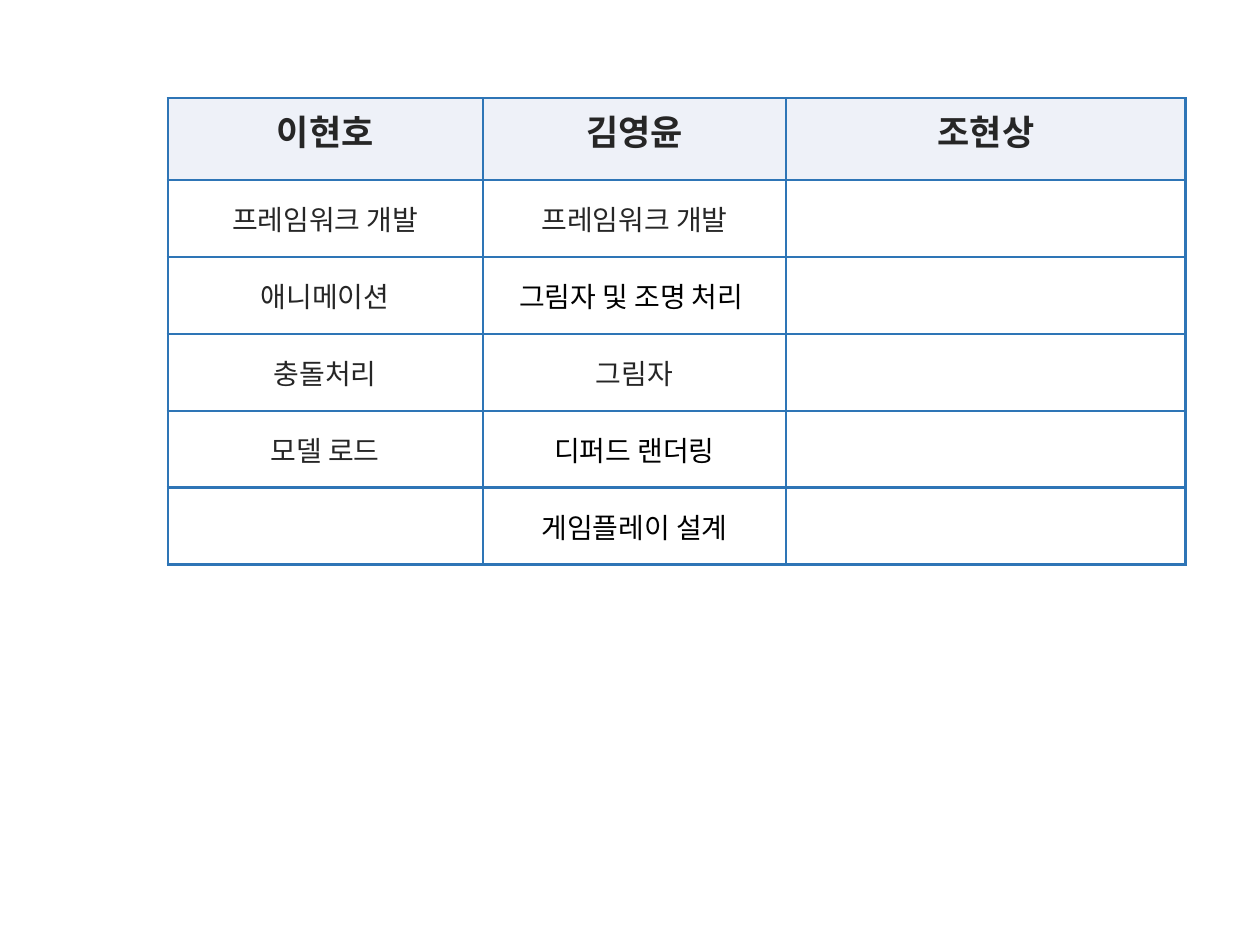
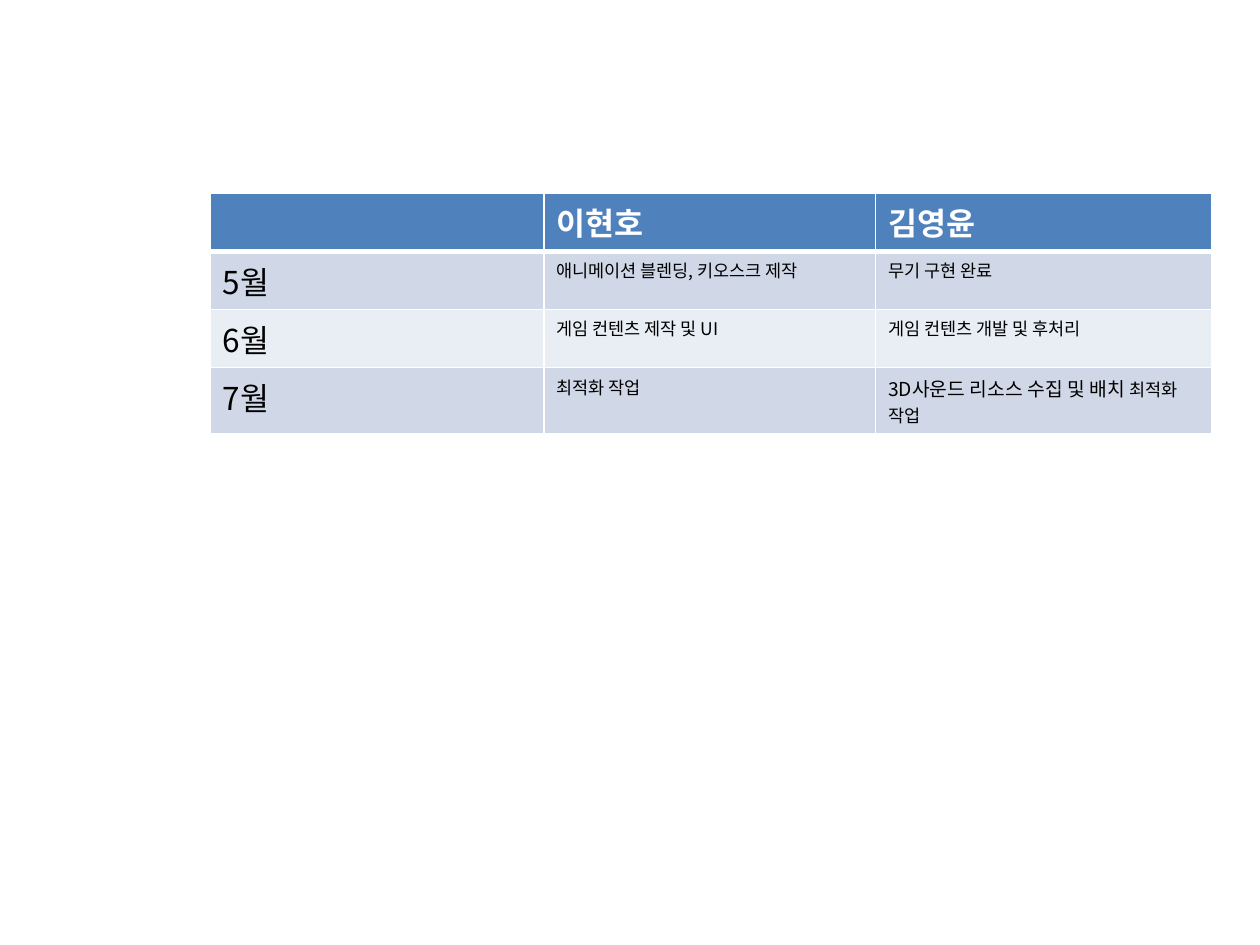
from lxml import etree
from pptx import Presentation
from pptx import util as u
from pptx.dml.color import RGBColor
from pptx.enum import text
from pptx.oxml import ns

FONT = "Noto Sans CJK KR"
WHITE = RGBColor(0xFF, 0xFF, 0xFF)
BLACK = RGBColor(0x00, 0x00, 0x00)
CHARCOAL = RGBColor(0x26, 0x26, 0x26)
GRID_BLUE = RGBColor(0x2E, 0x75, 0xB6)
PALE_HEAD = RGBColor(0xEE, 0xF1, 0xF8)
BLUE_HEAD = RGBColor(0x4F, 0x81, 0xBD)
BAND_DARK = RGBColor(0xD0, 0xD8, 0xE8)
BAND_LIGHT = RGBColor(0xE9, 0xED, 0xF4)
PLAIN_STYLE = "{2D5ABB26-0587-4C30-8999-92F81FD0307C}"

ROLES = [
    ["이현호", "김영윤", "조현상"],
    ["프레임워크 개발", "프레임워크 개발", ""],
    ["애니메이션", "그림자 및 조명 처리 ", ""],
    ["충돌처리", "그림자", ""],
    ["모델 로드", "디퍼드 랜더링", ""],
    ["", "게임플레이 설계", ""],
]
BLACK_ROLES = {"그림자 및 조명 처리 ", "디퍼드 랜더링", "게임플레이 설계"}

SCHEDULE = [
    ["", "이현호", "김영윤"],
    ["5월", "애니메이션 블렌딩, 키오스크 제작", "무기 구현 완료"],
    ["6월", "게임 컨텐츠 제작 및 UI", "게임 컨텐츠 개발 및 후처리"],
    ["7월", "최적화 작업", "3D사운드 리소스 수집 및 배치 "],
]


def add_table(page, left, top, widths, heights):
    """Add an unstyled table; all lengths are in centimetres."""
    frame = page.shapes.add_table(
        len(heights), len(widths), u.Cm(left), u.Cm(top),
        u.Cm(sum(widths)), u.Cm(sum(heights)))
    table = frame.table
    table.first_row = table.horz_banding = False
    table._tbl.tblPr.find(ns.qn("a:tableStyleId")).text = PLAIN_STYLE
    for column, width in zip(table.columns, widths):
        column.width = u.Cm(width)
    for row, height in zip(table.rows, heights):
        row.height = u.Cm(height)
    return table


def set_borders(cell, color, width, bottom=None):
    """Draw the four cell sides; the lines must precede the cell fill."""
    properties = cell._tc.get_or_add_tcPr()
    for index, side in enumerate(("lnL", "lnR", "lnT", "lnB")):
        points = bottom if bottom and side == "lnB" else width
        line = etree.Element(ns.qn(f"a:{side}"), w=str(u.Pt(points)))
        fill = etree.SubElement(line, ns.qn("a:solidFill"))
        etree.SubElement(fill, ns.qn("a:srgbClr"), val=str(color))
        properties.insert(index, line)


def fill_cell(cell, words, fill, size, color, bold=False, align=None):
    cell.fill.solid()
    cell.fill.fore_color.rgb = fill
    para = cell.text_frame.paragraphs[0]
    para.text = words
    para.alignment = align
    font = para.font
    font.name, font.size, font.bold = FONT, u.Pt(size), bold
    font.color.rgb = color
    # East Asian typeface follows the Latin one
    latin = para._p.pPr.find(ns.qn("a:defRPr")).find(ns.qn("a:latin"))
    latin.addnext(etree.Element(ns.qn("a:ea"), typeface=FONT))
    return para


def add_roles(page):
    table = add_table(page, 3.38, 1.98, [6.35, 6.12, 8.05],
                      [1.65] + [1.55] * (len(ROLES) - 1))
    for r, row in enumerate(ROLES):
        for c, words in enumerate(row):
            cell = table.cell(r, c)
            head = r == 0
            fill_cell(cell, words, PALE_HEAD if head else WHITE,
                      20 if head else 16,
                      BLACK if words in BLACK_ROLES else CHARCOAL,
                      head, text.PP_ALIGN.CENTER)
            if not head:
                cell.vertical_anchor = text.MSO_ANCHOR.MIDDLE
            set_borders(cell, GRID_BLUE, 1.5)


def add_schedule(page):
    table = add_table(page, 4.24, 3.89, [6.73, 6.68, 6.78],
                      [1.04] * len(SCHEDULE))
    for r, row in enumerate(SCHEDULE):
        for c, words in enumerate(row):
            cell = table.cell(r, c)
            head = r == 0
            fill = BLUE_HEAD if head else (BAND_LIGHT, BAND_DARK)[r % 2]
            para = fill_cell(cell, words, fill, 18 if head or c == 0 else 10,
                             WHITE if head else BLACK, head)
            set_borders(cell, WHITE, 1, bottom=3 if head else None)
    # The last cell ends with a smaller second span
    para.font.size = u.Pt(11)
    span = para.add_run()
    span.text = "최적화 작업"
    span.font.size = u.Pt(10)


def main():
    deck = Presentation()
    deck.slide_width, deck.slide_height = u.Cm(25.4), u.Cm(19.05)
    for add_content in (add_roles, add_schedule):
        add_content(deck.slides.add_slide(deck.slide_layouts[6]))
    deck.save("out.pptx")


if __name__ == "__main__":
    main()
